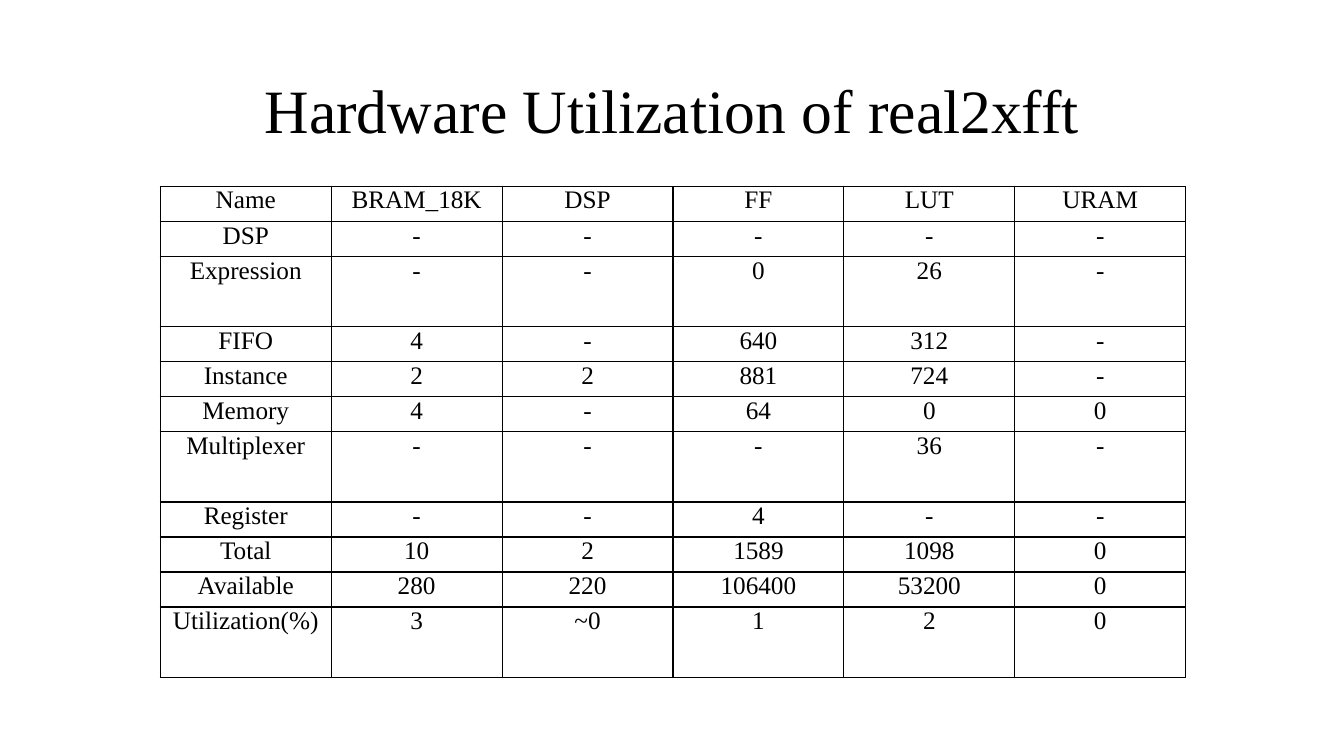
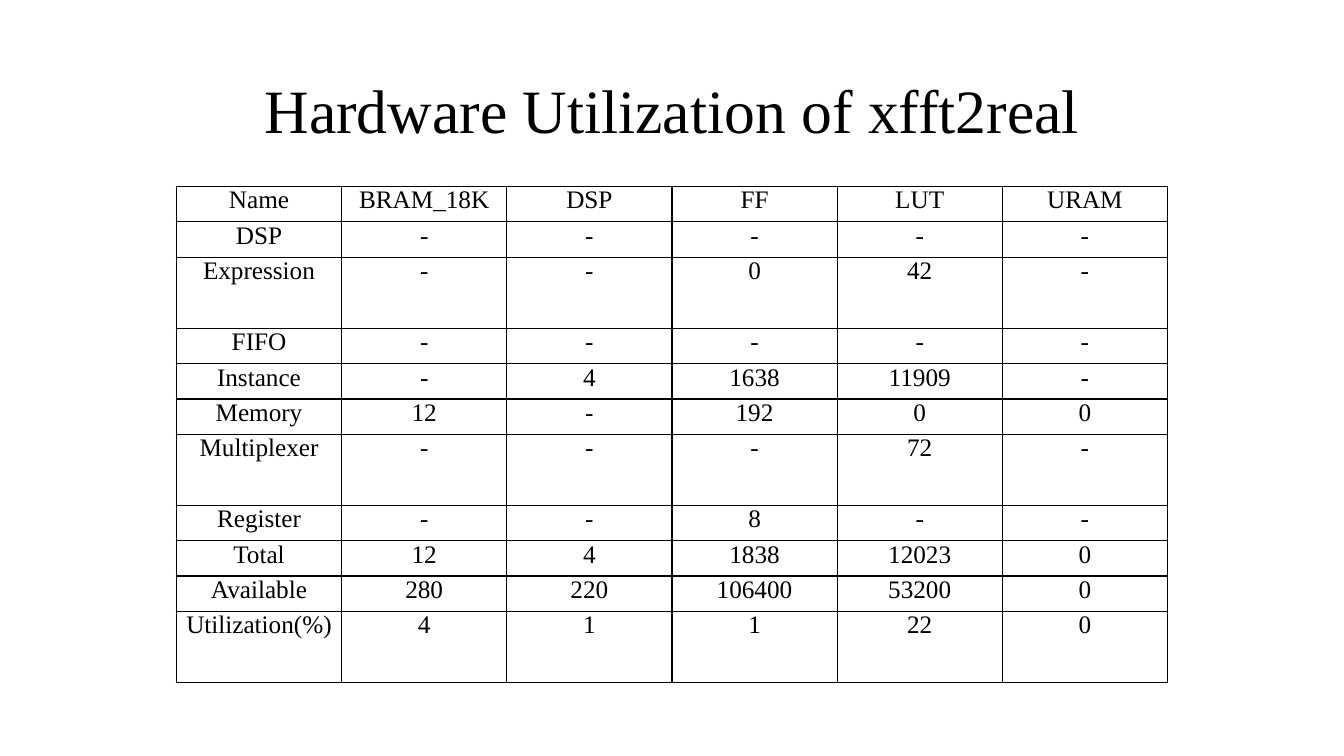
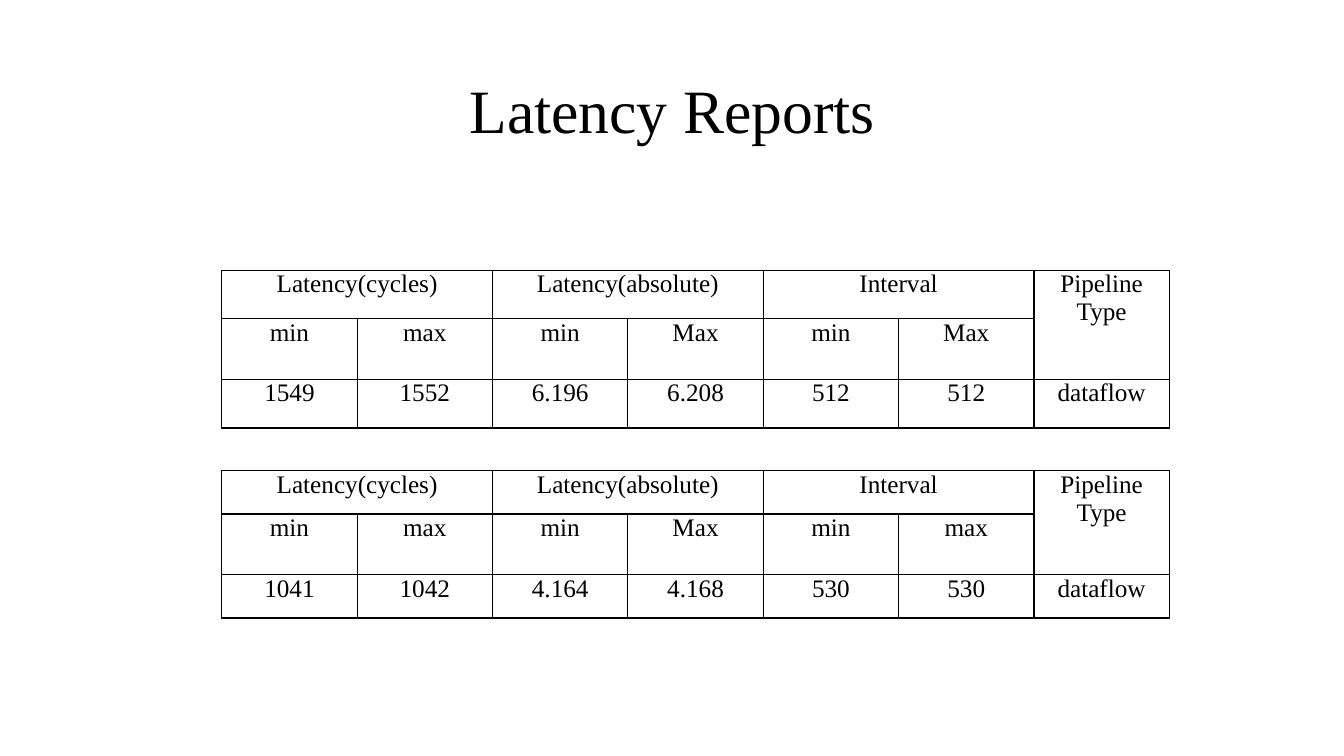
from lxml import etree
from pptx import Presentation
from pptx.dml.color import RGBColor
from pptx.enum.text import MSO_ANCHOR, PP_ALIGN
from pptx.oxml.ns import qn
from pptx.util import Inches, Pt

CENTER = PP_ALIGN.CENTER
MIDDLE, TOP = MSO_ANCHOR.MIDDLE, MSO_ANCHOR.TOP

COLORS = {"text": "000000", "border": "000000"}
FONT = "Times New Roman"
TITLE_SIZE, CELL_SIZE = 44, 18
TITLE_BOX = (0.92, 0.4, 11.5, 1.45)
CELL_FORMAT = {
    "margin_left": Inches(0.07),
    "margin_right": Inches(0.07),
    "margin_top": 0,
    "margin_bottom": 0,
    "vertical_anchor": TOP,
}

RESOURCES = ("Name", "BRAM_18K", "DSP", "FF", "LUT", "URAM")
REAL2XFFT = [
    RESOURCES,
    ("DSP", "-", "-", "-", "-", "-"),
    ("Expression", "-", "-", "0", "26", "-"),
    ("FIFO", "4", "-", "640", "312", "-"),
    ("Instance", "2", "2", "881", "724", "-"),
    ("Memory", "4", "-", "64", "0", "0"),
    ("Multiplexer", "-", "-", "-", "36", "-"),
    ("Register", "-", "-", "4", "-", "-"),
    ("Total", "10", "2", "1589", "1098", "0"),
    ("Available", "280", "220", "106400", "53200", "0"),
    ("Utilization(%)", "3", "~0", "1", "2", "0"),
]
XFFT2REAL = [
    RESOURCES,
    ("DSP", "-", "-", "-", "-", "-"),
    ("Expression", "-", "-", "0", "42", "-"),
    ("FIFO", "-", "-", "-", "-", "-"),
    ("Instance", "-", "4", "1638", "11909", "-"),
    ("Memory", "12", "-", "192", "0", "0"),
    ("Multiplexer", "-", "-", "-", "72", "-"),
    ("Register", "-", "-", "8", "-", "-"),
    ("Total", "12", "4", "1838", "12023", "0"),
    ("Available", "280", "220", "106400", "53200", "0"),
    ("Utilization(%)", "4", "1", "1", "22", "0"),
]
DOUBLE_ROWS = {"Expression", "Multiplexer", "Utilization(%)"}

# None marks a cell covered by a merged neighbour.
LATENCY_HEAD = ("Latency(cycles)", None, "Latency(absolute)", None,
                "Interval", None, "Pipeline\nType")
LATENCY_MERGES = [((0, 0), (0, 1)), ((0, 2), (0, 3)), ((0, 4), (0, 5)),
                  ((0, 6), (1, 6))]
REAL2XFFT_LATENCY = [
    LATENCY_HEAD,
    ("min", "max", "min", "Max", "min", "Max", None),
    ("1549", "1552", "6.196", "6.208", "512", "512", "dataflow"),
]
XFFT2REAL_LATENCY = [
    LATENCY_HEAD,
    ("min", "max", "min", "Max", "min", "max", None),
    ("1041", "1042", "4.164", "4.168", "530", "530", "dataflow"),
]

# Each table: rows, (left, top, width, height), merged ranges
SLIDES = [
    ("Hardware Utilization of real2xfft",
     [(REAL2XFFT, (1.59, 1.85, 10.17, 4.87), [])]),
    ("Hardware Utilization of xfft2real",
     [(XFFT2REAL, (1.75, 1.85, 9.83, 4.92), [])]),
    ("Latency Reports",
     [(REAL2XFFT_LATENCY, (2.2, 2.68, 9.4, 1.45), LATENCY_MERGES),
      (XFFT2REAL_LATENCY, (2.2, 4.67, 9.4, 1.29), LATENCY_MERGES)]),
]


def write(frame, text, size, line_spacing=None):
    frame.text = text
    for paragraph in frame.paragraphs:
        paragraph.alignment = CENTER
        paragraph.line_spacing = line_spacing
        for run in paragraph.runs:
            run.font.name = FONT
            run.font.size = Pt(size)
            run.font.color.rgb = RGBColor.from_string(COLORS["text"])


def add_title(slide, text):
    frame = slide.shapes.add_textbox(*map(Inches, TITLE_BOX)).text_frame
    frame.word_wrap = True
    frame.vertical_anchor = MIDDLE
    write(frame, text, TITLE_SIZE, 0.9)


def add_borders(cell):
    properties = cell._tc.get_or_add_tcPr()
    for side in ("a:lnL", "a:lnR", "a:lnT", "a:lnB"):
        line = etree.SubElement(properties, qn(side), w=str(Pt(1)))
        fill = etree.SubElement(line, qn("a:solidFill"))
        etree.SubElement(fill, qn("a:srgbClr"), val=COLORS["border"])


def add_grid(slide, rows, box, merges):
    """Add a table whose columns are equal and whose rows share the height by weight."""
    left, top, width, height = box
    column_count = len(rows[0])
    table = slide.shapes.add_table(
        len(rows), column_count, *map(Inches, box)).table
    table.first_row = table.horz_banding = False
    for column in table.columns:
        column.width = Inches(width / column_count)

    weights = [2 if row[0] in DOUBLE_ROWS else 1 for row in rows]
    for row, weight in zip(table.rows, weights):
        row.height = Inches(height * weight / sum(weights))

    for r, row in enumerate(rows):
        for c, text in enumerate(row):
            cell = table.cell(r, c)
            for name, value in CELL_FORMAT.items():
                setattr(cell, name, value)
            add_borders(cell)
            cell.fill.background()
            if text is not None:
                write(cell.text_frame, text, CELL_SIZE)
    for first, last in merges:
        table.cell(*first).merge(table.cell(*last))


def main():
    deck = Presentation()
    deck.slide_width, deck.slide_height = Inches(13.33), Inches(7.5)
    blank = deck.slide_layouts[6]
    for title, tables in SLIDES:
        slide = deck.slides.add_slide(blank)
        add_title(slide, title)
        for rows, box, merges in tables:
            add_grid(slide, rows, box, merges)
    deck.save("out.pptx")


if __name__ == "__main__":
    main()
